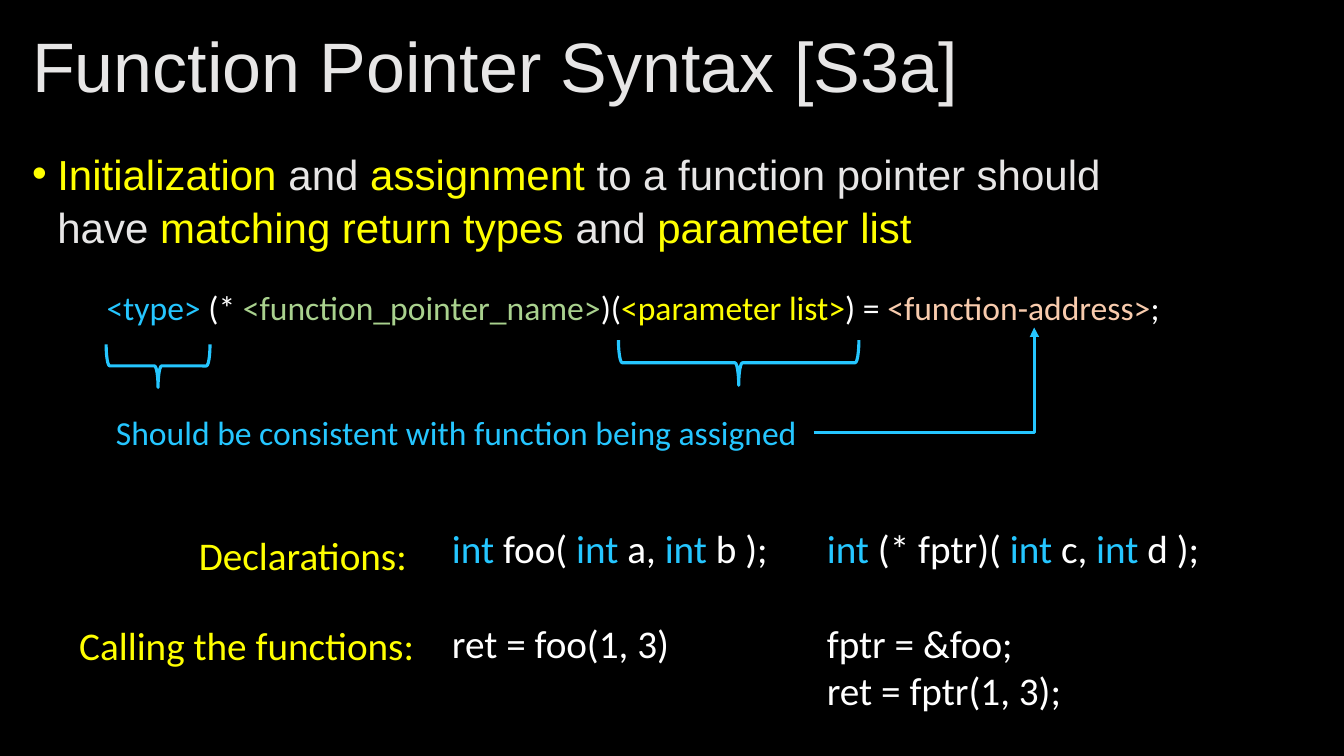
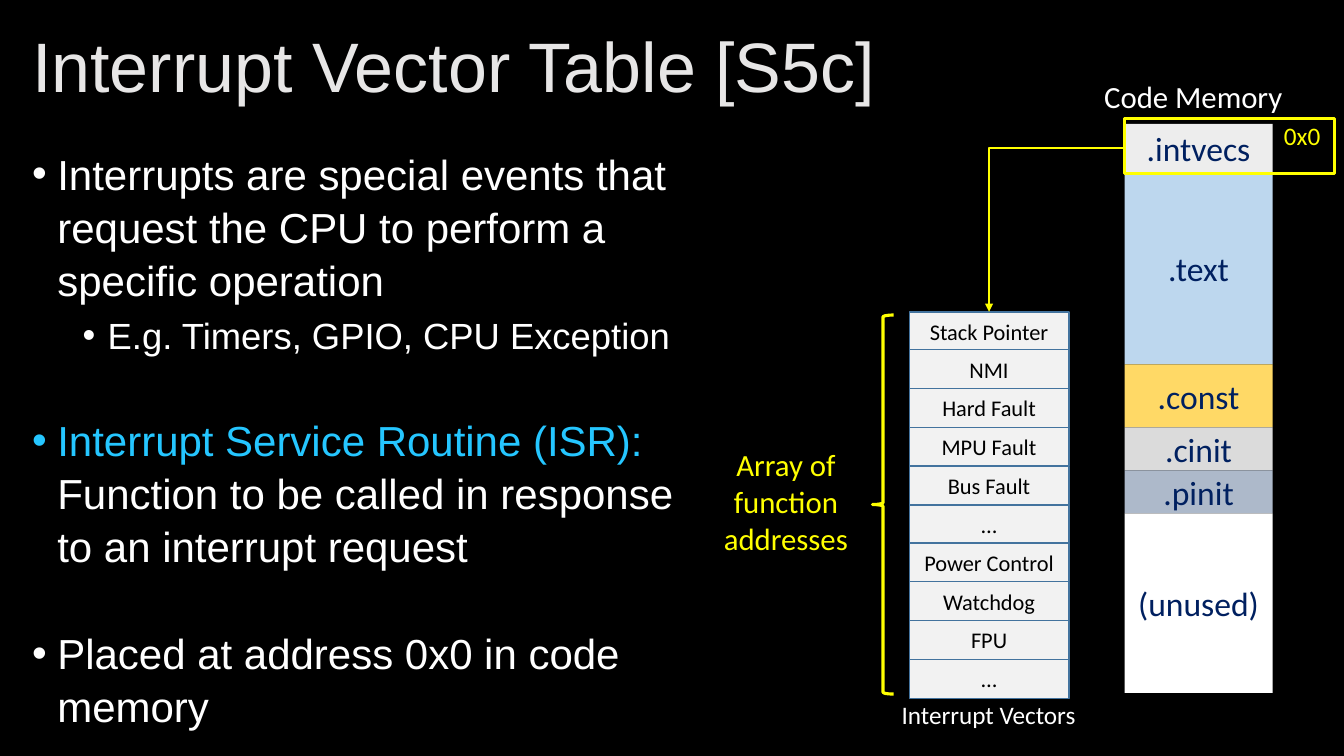
from lxml import etree
from pptx import Presentation
from pptx.dml.color import RGBColor
from pptx.enum.shapes import MSO_CONNECTOR, MSO_SHAPE as SHAPE
from pptx.enum.text import MSO_ANCHOR as ANCHOR, MSO_AUTO_SIZE, PP_ALIGN as ALIGN
from pptx.oxml.ns import qn
from pptx.util import Pt

PX = 9525  # EMU in one px, 96 px to the inch
color = RGBColor.from_string

BLACK, WHITE, GRAY = "000000", "FFFFFF", "E7E6E6"
YELLOW, BLUE, GREEN, PEACH, NAVY = "FFFF00", "25C6FF", "A9D18E", "F8CBAD", "002060"
LEFT, CENTER, RIGHT = ALIGN.LEFT, ALIGN.CENTER, ALIGN.RIGHT


def write_runs(paragraph, runs, size, font="Calibri", **formats):
    for name, value in formats.items():
        setattr(paragraph, name, value)
    for text, run_color in runs:
        run = paragraph.add_run()
        run.text = text
        for name, value in {"name": font, "size": Pt(size)}.items():
            setattr(run.font, name, value)
        run.font.color.rgb = color(run_color)


def add_shape(slide, kind, box, fill=None, line=None, width=1, rotation=0):
    shape = slide.shapes.add_shape(kind, *[PX * value for value in box])
    shape.shadow.inherit = False
    shape.rotation = rotation
    if fill:
        shape.fill.solid()
        shape.fill.fore_color.rgb = color(fill)
    else:
        shape.fill.background()
    if line:
        shape.line.color.rgb = color(line)
        shape.line.width = Pt(width)
    else:
        shape.line.fill.background()
    return shape


presentation = Presentation()
presentation.slide_width, presentation.slide_height = 1280 * PX, 720 * PX
background = presentation.slide_master.background.fill
background.solid()
background.fore_color.rgb = color(BLACK)
layout = presentation.slide_layouts[1]
pointer_slide = presentation.slides.add_slide(layout)
vector_slide = presentation.slides.add_slide(layout)

# Titles and bullet lists: each bullet is (level, space before, runs)
contents = [
    (pointer_slide, "Function Pointer Syntax [S3a]", (21, 134, 1050, 107), [
        (0, 10, [("Initialization", YELLOW), (" and ", GRAY), ("assignment", YELLOW),
                 (" to a function pointer should have ", GRAY),
                 ("matching return types ", YELLOW), ("and ", GRAY),
                 ("parameter list", YELLOW)]),
    ]),
    (vector_slide, "Interrupt Vector Table [S5c]", (21, 134, 656, 551), [
        (0, 10, [("Interrupts are special events that request the CPU "
                  "to perform a specific operation", WHITE)]),
        (1, 5, [("E.g. Timers, GPIO, CPU Exception", WHITE)]),
        (0, 39, [("Interrupt Service Routine (ISR):", BLUE),
                 (" Function to be called in response to an interrupt request", WHITE)]),
        (0, 39, [("Placed at address 0x0 in code memory", WHITE)]),
    ]),
]
for slide, title_text, body_box, bullets in contents:
    title, body = slide.shapes.title, slide.placeholders[1]
    for placeholder, box, anchor in [(title, (21, 20, 1237, 93), ANCHOR.MIDDLE),
                                     (body, body_box, ANCHOR.TOP)]:
        for name, value in zip(("left", "top", "width", "height"), box):
            setattr(placeholder, name, PX * value)
        frame = placeholder.text_frame
        frame.auto_size = MSO_AUTO_SIZE.NONE
        frame.vertical_anchor = anchor
    write_runs(title.text_frame.paragraphs[0], [(title_text, GRAY)], 50, "Arial",
               alignment=LEFT, line_spacing=0.9)
    for index, (level, space, runs) in enumerate(bullets):
        frame = body.text_frame
        paragraph = frame.add_paragraph() if index else frame.paragraphs[0]
        write_runs(paragraph, runs, (30, 26)[level], "Arial", level=level,
                   space_before=Pt(space), line_spacing=1.05)
        properties = paragraph._p.get_or_add_pPr()
        properties.set("marL", str(PX * (24 + 48 * level)))
        properties.set("indent", str(PX * -24))
        etree.SubElement(properties, qn("a:buChar")).set("char", "•")

# Text boxes: each paragraph is (space before, runs)
text_boxes = [
    (pointer_slide, (92, 269, 1080, 48), 24, LEFT, [
        (0, [("<type> ", BLUE), ("(* ", WHITE), ("<function_pointer_name>", GREEN),
             (")(", WHITE), ("<parameter list>", YELLOW), (") = ", WHITE),
             ("<function-address>", PEACH), (";", WHITE)])]),
    (pointer_slide, (101, 388, 690, 48), 24, LEFT, [
        (0, [("Should be consistent with function being assigned", BLUE)])]),
    (pointer_slide, (180, 501, 266, 55), 28, LEFT, [(0, [("Declarations:", YELLOW)])]),
    (pointer_slide, (66, 587, 364, 55), 28, LEFT, [(0, [("Calling the functions:", YELLOW)])]),
    (pointer_slide, (421, 495, 340, 145), 28, LEFT, [
        (0, [("int ", BLUE), ("foo( ", WHITE), ("int ", BLUE), ("a, ", WHITE),
             ("int ", BLUE), ("b );", WHITE)]),
        (34, [("ret = foo(1, 3)", WHITE)])]),
    (pointer_slide, (778, 495, 394, 191), 28, LEFT, [
        (0, [("int ", BLUE), ("(* fptr)( ", WHITE), ("int ", BLUE), ("c, ", WHITE),
             ("int ", BLUE), ("d );", WHITE)]),
        (34, [("fptr = &foo;", WHITE)]),
        (0, [("ret = fptr(1, 3);", WHITE)])]),
    (vector_slide, (1026, 69, 221, 45), 22, CENTER, [(0, [("Code Memory", WHITE)])]),
    (vector_slide, (1182, 110, 85, 38), 18, RIGHT, [(0, [("0x0", YELLOW)])]),
    (vector_slide, (831, 661, 221, 38), 18, CENTER, [(0, [("Interrupt Vectors", WHITE)])]),
    (vector_slide, (666, 420, 165, 116), 22, CENTER, [
        (0, [("Array of function addresses", YELLOW)])]),
]
for slide, box, size, alignment, paragraphs in text_boxes:
    frame = slide.shapes.add_textbox(*[PX * value for value in box]).text_frame
    frame.word_wrap = True
    for index, (space, runs) in enumerate(paragraphs):
        paragraph = frame.add_paragraph() if index else frame.paragraphs[0]
        write_runs(paragraph, runs, size, alignment=alignment, space_before=Pt(space))

# Memory sections, stacked from the top, then the vector rows
cells = []
top = 118
for text, height, fill in [(".intvecs", 46, "EDEDED"), (".text", 183, "BDD7EE"),
                           (".const", 60, "FFD966"), (".cinit", 41, "DBDBDB"),
                           (".pinit", 41, "ADB9CA"), ("(unused)", 171, WHITE)]:
    cells.append((text, (1071, top, 141, height), fill, None, 24, NAVY))
    top += height
vectors = ["Stack Pointer", "NMI", "Hard Fault", "MPU Fault", "Bus Fault", "…",
           "Power Control", "Watchdog", "FPU", "…"]
for index, text in enumerate(vectors):
    row_top = 297 + 368 * index // len(vectors)
    cells.append((text, (866, row_top, 152, 37), "F2F2F2", "43739E", 16, BLACK))
for text, box, fill, line, size, text_color in cells:
    frame = add_shape(vector_slide, SHAPE.RECTANGLE, box, fill, line).text_frame
    frame.vertical_anchor = ANCHOR.MIDDLE
    write_runs(frame.paragraphs[0], [(text, text_color)], size, alignment=CENTER)

# Braces and the frame around the first memory section
for slide, kind, box, line, rotation in [
    (pointer_slide, SHAPE.RIGHT_BRACE, (130, 299, 41, 99), BLUE, 90),
    (pointer_slide, SHAPE.RIGHT_BRACE, (682, 231, 43, 229), BLUE, 90),
    (vector_slide, SHAPE.LEFT_BRACE, (831, 300, 20, 361), YELLOW, 0),
    (vector_slide, SHAPE.RECTANGLE, (1071, 113, 200, 52), YELLOW, 0),
]:
    add_shape(slide, kind, box, line=line, width=2.25, rotation=rotation)

# Elbow arrows that run sideways first, then up or down
for slide, ends, preset, line, width in [
    (pointer_slide, (775, 412, 985, 312), "bentConnector3", BLUE, 2.25),
    (vector_slide, (1071, 141, 942, 297), "bentConnector2", YELLOW, 1),
]:
    arrow = slide.shapes.add_connector(MSO_CONNECTOR.ELBOW, *[PX * value for value in ends])
    arrow.line.color.rgb = color(line)
    arrow.line.width = Pt(width)
    properties = arrow._element.spPr
    geometry = properties.find(qn("a:prstGeom"))
    geometry.set("prst", preset)
    if preset == "bentConnector3":
        guide = etree.SubElement(geometry.find(qn("a:avLst")), qn("a:gd"))
        guide.set("name", "adj1")
        guide.set("fmla", "val 100100")
    etree.SubElement(arrow.line._get_or_add_ln(), qn("a:tailEnd")).set("type", "triangle")
    etree.SubElement(properties, qn("a:effectLst"))

presentation.save("out.pptx")
